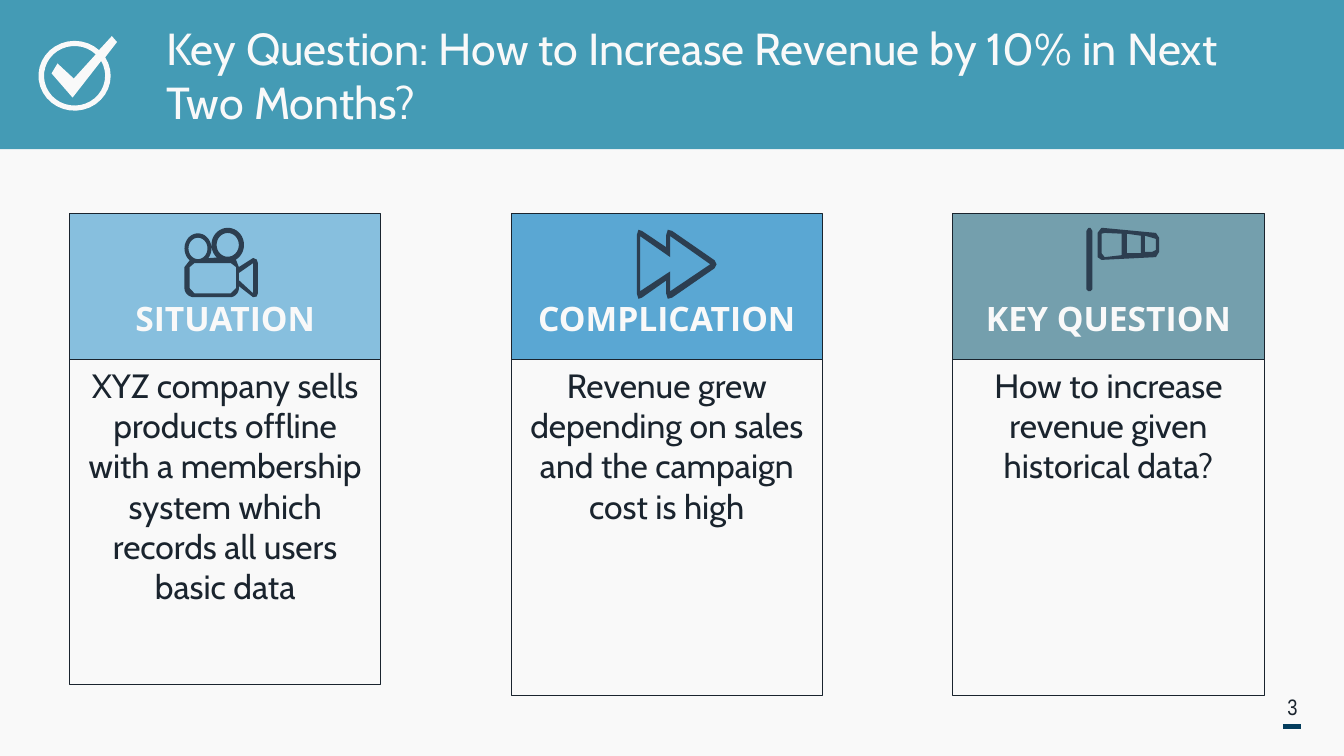
import math

import lxml.etree
import pptx
import pptx.dml.color
import pptx.enum.shapes
import pptx.enum.text
import pptx.oxml.ns
import pptx.util

Cm, Pt = pptx.util.Cm, pptx.util.Pt
RGBColor = pptx.dml.color.RGBColor
RECT = pptx.enum.shapes.MSO_SHAPE.RECTANGLE
ALIGN = pptx.enum.text.PP_ALIGN
ANCHOR = pptx.enum.text.MSO_ANCHOR
qn = pptx.oxml.ns.qn

PALE = RGBColor(0xF9, 0xF9, 0xF9)
TEAL = RGBColor(0x44, 0x9B, 0xB5)
INK = RGBColor(0x1A, 0x24, 0x2E)
SLATE = RGBColor(0x2C, 0x3E, 0x50)
NAVY = RGBColor(0x04, 0x3D, 0x5D)
BLUE = RGBColor(0x08, 0x7E, 0xC0)
SEA = RGBColor(0x33, 0x74, 0x88)


def arc(x, y, wide, high, start, end):
    """Points on an ellipse; angles in degrees, clockwise from the right."""
    turns = [math.radians(start + (end - start) * i / 32) for i in range(33)]
    return [(x + wide * math.cos(t), y + high * math.sin(t)) for t in turns]


def write(shape, text, font, size, color, align, anchor, bold=False):
    frame = shape.text_frame
    frame.word_wrap = True
    frame.auto_size = pptx.enum.text.MSO_AUTO_SIZE.NONE
    frame.vertical_anchor = anchor
    line = frame.paragraphs[0]
    line.alignment = align
    run = line.add_run()
    run.text = text
    run.font.name = font
    run.font.size = Pt(size)
    run.font.bold = bold
    run.font.color.rgb = color


deck = pptx.Presentation()
deck.slide_width, deck.slide_height = Cm(33.87), Cm(19.05)
slide = deck.slides.add_slide(deck.slide_layouts[5])
slide.background.fill.solid()
slide.background.fill.fore_color.rgb = PALE
shapes = slide.shapes

# Title on its band
title = shapes.title
title.left, title.top, title.width, title.height = Cm(3.94), Cm(0.38), Cm(28.58), Cm(3)
write(title, "Key Question: How to Increase Revenue by 10% in Next Two Months?",
      "Cabin", 32, PALE, ALIGN.LEFT, ANCHOR.MIDDLE)
band = shapes.add_shape(RECT, 0, 0, deck.slide_width, Cm(3.76))
band.shadow.inherit = False
band.fill.solid()
band.fill.fore_color.rgb = TEAL
band.line.fill.background()
title.element.addprevious(band.element)

# Page number
page = shapes.add_textbox(Cm(31.8), Cm(17.22), Cm(1.55), Cm(1.19))
write(page, "3", "Arial Narrow", 16, INK, ALIGN.CENTER, ANCHOR.MIDDLE)
rule = shapes.add_connector(pptx.enum.shapes.MSO_CONNECTOR.STRAIGHT,
                            Cm(32.33), Cm(18.31), Cm(32.79), Cm(18.31))
rule.line.color.rgb = NAVY
rule.line.width = Pt(3.5)
lxml.etree.SubElement(rule.element.spPr, qn("a:effectLst"))

# Cards: heading, tint, opacity in percent, heights of head and body, text
cards = [
    ("SITUATION", BLUE, 47, 3.66, 8.2,
     "XYZ company sells products offline with a membership system "
     "which records all users basic data"),
    ("COMPLICATION", BLUE, 66, 3.73, 8.46,
     "Revenue grew depending on sales and the campaign cost is high"),
    ("KEY QUESTION", SEA, 67, 3.73, 8.46,
     "How to increase revenue given historical data?"),
]
for i, (name, tint, alpha, head_high, body_high, text) in enumerate(cards):
    left = Cm(1.75 + 11.13 * i)
    head = shapes.add_shape(RECT, left, Cm(5.39), Cm(7.85), Cm(head_high))
    body = shapes.add_shape(RECT, left, Cm(9.06), Cm(7.85), Cm(body_high))
    for box, fill in ((head, tint), (body, PALE)):
        box.shadow.inherit = False
        box.fill.solid()
        box.fill.fore_color.rgb = fill
        box.line.color.rgb = INK
        box.line.width = Pt(0.75)
    shade = head.element.spPr.find(qn("a:solidFill"))[0]
    lxml.etree.SubElement(shade, qn("a:alpha"), val=str(alpha * 1000))
    head.text_frame.margin_top = Cm(2.12)
    write(head, name, "Open Sans", 24, PALE, ALIGN.CENTER, ANCHOR.TOP, True)
    write(body, text, "Cabin", 24, INK, ALIGN.CENTER, ANCHOR.TOP)

# Icon outlines in millimetres from each icon's corner
check = [
    [(19.8, 1.5), (18.5, 0), (15.2, 3.6)] + arc(9.1, 10, 9.1, 8.8, -47, -392),
    arc(9.1, 10, 7.7, 7.5, 0, 314)
    + [(8.9, 10.7), (4.8, 6.9), (3.3, 9.4), (8.6, 15.5), (15.7, 6.4)]
    + arc(9.1, 10, 7.7, 7.5, -29, 0),
]
camera = [
    [(17.3, 7.6), (13.7, 9.9), (13, 8.1)] + arc(10.9, 4.3, 4.1, 4.3, 60, -228)
    + arc(3.4, 5.2, 3.4, 3.8, 40, -232) + [(0, 9.9)]
    + arc(2.5, 15.2, 2.5, 2.3, 180, 90) + arc(11.4, 15.2, 2.3, 2.3, 90, 0)
    + [(13.7, 14.7), (17.3, 17.5), (18.2, 17.3), (18.5, 16.5), (18.5, 8.9), (18.2, 8)],
    arc(10.9, 4.3, 2.8, 3, 0, 360),
    arc(3.4, 5.2, 2.4, 2.7, 0, 360),
    [(1.3, 9.9), (2.5, 8.9), (11.7, 8.9), (13, 9.9),
     (13, 15.2), (11.7, 16.5), (2.5, 16.5), (1.3, 15.2)],
    [(17.3, 16.5), (13.7, 13.2), (13.7, 11.4), (17.3, 8.9)],
]
forward = [
    [(0, 1.5), (0.4, 0.2), (1.3, 0.5), (7.4, 4.6), (7.4, 1.5), (7.8, 0.2),
     (8.9, 0.5), (19.6, 7.9), (20.1, 8.9), (19.6, 9.9), (8.9, 17.3), (7.8, 17.6),
     (7.4, 16.3), (7.4, 13), (1.3, 17.3), (0.4, 17.6), (0, 16.3)],
    [(8.4, 15.7), (8.4, 10.7), (0.8, 15.7), (0.8, 1.8),
     (8.4, 7.1), (8.4, 1.8), (18.5, 8.9)],
]
windsock = [
    [(0, 0.8), (0.5, 0), (1, 0), (1.5, 0.8), (1.5, 15.5), (1, 16), (0.5, 16), (0, 15.5)],
    [(2.8, 1.3), (3.8, 0), (17.5, 1.3), (18.3, 2.5),
     (18.3, 6.1), (17.5, 7.4), (3.8, 8.1), (2.8, 7.4)],
    [(8.9, 6.9), (4.6, 7.4), (3.8, 6.4), (3.8, 1.5), (4.6, 1.3), (8.9, 1.5)],
    [(13.7, 6.4), (10.2, 6.4), (10.2, 1.5), (13.7, 2)],
    [(17.5, 5.6), (16.5, 6.1), (14.7, 6.1), (14.7, 2), (16.5, 2.5), (17.5, 2.8)],
]
icons = [
    (check, 0.97, 0.91, PALE),
    (camera, 4.65, 5.74, SLATE),
    (forward, 16.05, 5.77, SLATE),
    (windsock, 27.38, 5.74, SLATE),
]
for loops, left, top, color in icons:
    pen = None
    for loop in loops:
        dots = [(x * 100, y * 100) for x, y in loop]
        if pen is None:
            pen = shapes.build_freeform(*dots[0], scale=Cm(0.001))
        else:
            pen.move_to(*dots[0])
        pen.add_line_segments(dots[1:], close=True)
    icon = pen.convert_to_shape(Cm(left), Cm(top))
    icon.shadow.inherit = False
    icon.fill.solid()
    icon.fill.fore_color.rgb = color
    icon.line.fill.background()

deck.save("out.pptx")
